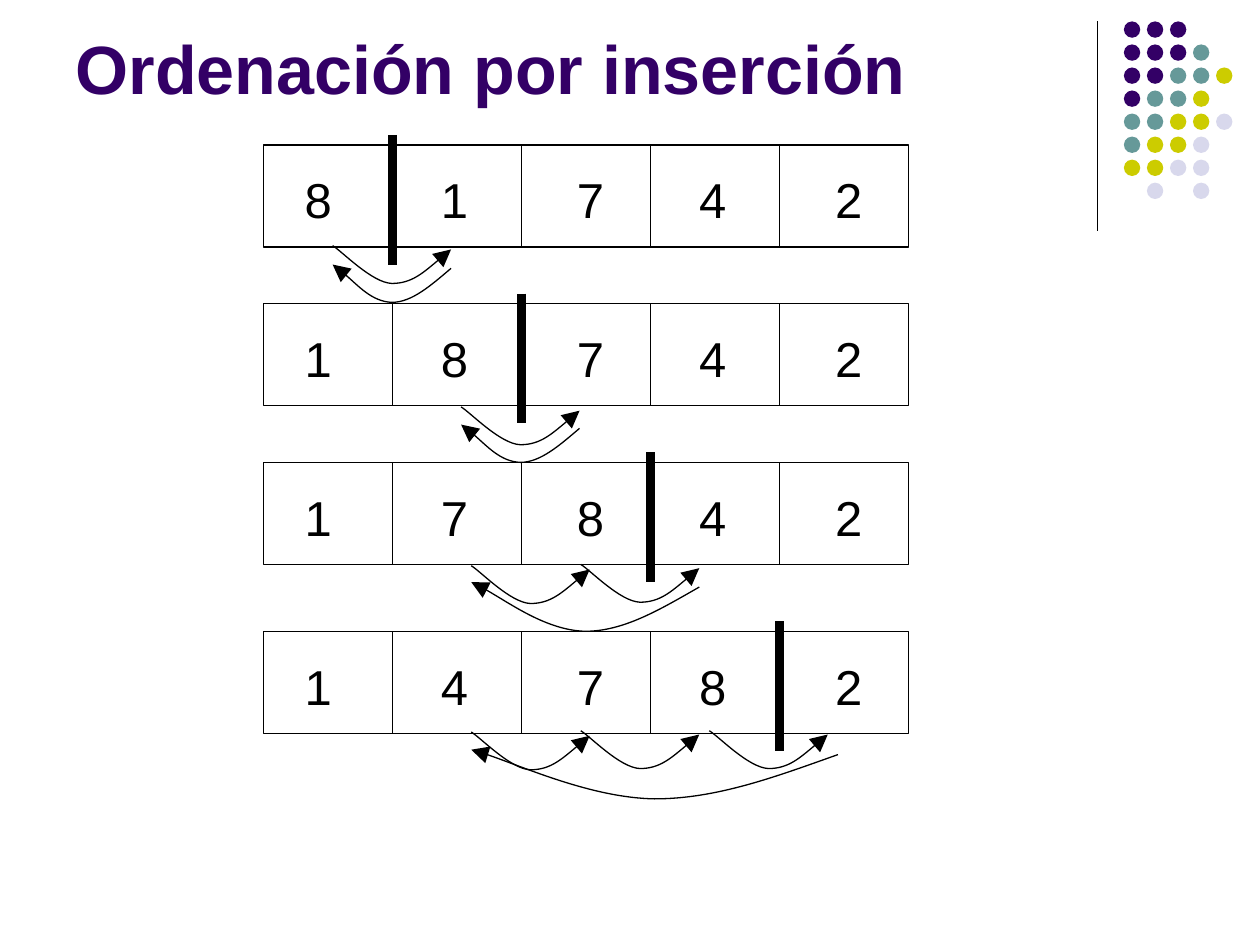
from dataclasses import dataclass

import lxml.etree
import pptx
import pptx.dml.color
import pptx.enum.shapes
import pptx.enum.text
import pptx.oxml.ns
import pptx.util

Inches = pptx.util.Inches
Pt = pptx.util.Pt
RGBColor = pptx.dml.color.RGBColor
qn = pptx.oxml.ns.qn
SHAPE = pptx.enum.shapes.MSO_SHAPE
STRAIGHT = pptx.enum.shapes.MSO_CONNECTOR.STRAIGHT

BLACK = RGBColor(0x00, 0x00, 0x00)
PURPLE = RGBColor(0x33, 0x00, 0x66)
TEAL = RGBColor(0x66, 0x99, 0x99)
LIME = RGBColor(0xCC, 0xCC, 0x00)
PALE = RGBColor(0xD8, 0xD8, 0xEC)

FONT = "Arial"
THIN = 0.75
THICK = 5
LEFT, WIDTH, HEIGHT, CELLS = 2.09, 5.12, 0.81, 5
STEP = WIDTH / CELLS
TABS = (1.08, 2.16, 3.13, 4.21)
BEND = ((1, 0.1), (0.83, 0.55), (0.67, 1), (0.5, 1), (0.33, 0.98), (0.08, 0.15), (0, 0))

DOTS = ("ppp", "pppt", "ppttl", "pttl", "ttllw", "tllw", "llww", ".w.w")
TINTS = {"p": PURPLE, "t": TEAL, "l": LIME, "w": PALE}


@dataclass
class Arc:
    left: float
    top: float
    width: float = 0.94
    height: float = 0.3
    end: str = "headEnd"


@dataclass
class Row:
    top: float
    items: str
    split: int
    arcs: tuple[Arc, ...]


ROWS = (
    Row(1.15, "81742", 1, (Arc(2.64, 1.95), Arc(2.64, 2.1, end="tailEnd"))),
    Row(2.41, "18742", 2, (Arc(3.66, 3.23), Arc(3.66, 3.37, end="tailEnd"))),
    Row(3.67, "17842", 3, (
        Arc(4.61, 4.48), Arc(3.74, 4.49), Arc(3.74, 4.62, 1.81, 0.39, "tailEnd"))),
    Row(5.01, "14782", 4, (
        Arc(4.61, 5.8), Arc(3.74, 5.81), Arc(5.63, 5.8),
        Arc(3.74, 5.95, 2.91, 0.39, "tailEnd"))),
)


def add_text(para, text: str, size: float, color: RGBColor, bold: bool = False) -> None:
    run = para.add_run()
    run.text = text
    run.font.name = FONT
    run.font.size = Pt(size)
    run.font.bold = bold
    run.font.color.rgb = color


def draw_line(shapes, x: float, top: float, base: float, weight: float) -> None:
    line = shapes.add_connector(STRAIGHT, Inches(x), Inches(top), Inches(x), Inches(base))
    line.line.color.rgb = BLACK
    line.line.width = Pt(weight)
    lxml.etree.SubElement(line._element.spPr, qn("a:effectLst"))


def set_edge(shape) -> None:
    shape.shadow.inherit = False
    shape.fill.background()
    shape.line.color.rgb = BLACK
    shape.line.width = Pt(THIN)


def draw_arc(shapes, arc: Arc) -> None:
    points = [(Inches(arc.left + x * arc.width), Inches(arc.top + y * arc.height))
              for x, y in BEND]
    pen = shapes.build_freeform(*points[0])
    pen.add_line_segments(points[1:], close=False)
    shape = pen.convert_to_shape()
    set_edge(shape)
    track = next(shape._element.iter(qn("a:path")))
    parts = track.findall(qn("a:lnTo"))
    for first in (0, 3):
        curve = lxml.etree.SubElement(track, qn("a:cubicBezTo"))
        for part in parts[first:first + 3]:
            curve.append(part[0])
            track.remove(part)
    edge = shape._element.spPr.find(qn("a:ln"))
    lxml.etree.SubElement(edge, qn("a:" + arc.end), type="triangle", w="lg", len="lg")


def draw_items(shapes, row: Row) -> None:
    box = shapes.add_textbox(Inches(2.32), Inches(row.top + 0.15), Inches(4.72), Inches(0.57))
    box.text_frame.word_wrap = True
    para = box.text_frame.paragraphs[0]
    stops = lxml.etree.SubElement(para._p.get_or_add_pPr(), qn("a:tabLst"))
    for tab in TABS:
        lxml.etree.SubElement(stops, qn("a:tab"), pos=str(Inches(tab)), algn="l")
    add_text(para, "\t".join(row.items), 28, BLACK)


def draw_row(slide, row: Row) -> None:
    shapes = slide.shapes.add_group_shape().shapes
    frame = shapes.add_shape(
        SHAPE.RECTANGLE, Inches(LEFT), Inches(row.top), Inches(WIDTH), Inches(HEIGHT))
    set_edge(frame)
    for cell in range(1, CELLS):
        draw_line(shapes, LEFT + cell * STEP, row.top, row.top + HEIGHT, THIN)
    draw_items(shapes, row)
    draw_line(shapes, LEFT + row.split * STEP, row.top - 0.08, row.top + 0.95, THICK)
    for arc in row.arcs:
        draw_arc(shapes, arc)


def draw_dots(slide) -> None:
    shapes = slide.shapes.add_group_shape().shapes
    pitch = 1.28 / 7
    for down, marks in enumerate(DOTS):
        for across, mark in enumerate(marks):
            if mark not in TINTS:
                continue
            dot = shapes.add_shape(
                SHAPE.OVAL, Inches(8.92 + across * pitch), Inches(0.17 + down * pitch),
                Inches(0.13), Inches(0.13))
            dot.shadow.inherit = False
            dot.fill.solid()
            dot.fill.fore_color.rgb = TINTS[mark]
            dot.line.fill.background()


def set_title(slide) -> None:
    title = slide.shapes.title
    title.left, title.top = Inches(0.5), Inches(0.13)
    title.width, title.height = Inches(8.25), Inches(0.78)
    frame = title.text_frame
    frame.auto_size = pptx.enum.text.MSO_AUTO_SIZE.NONE
    frame.vertical_anchor = pptx.enum.text.MSO_ANCHOR.BOTTOM
    para = frame.paragraphs[0]
    para.alignment = pptx.enum.text.PP_ALIGN.LEFT
    add_text(para, "Ordenación por inserción", 39, PURPLE, True)


def main() -> None:
    deck = pptx.Presentation()
    deck.slide_width, deck.slide_height = Inches(10), Inches(7.5)
    slide = deck.slides.add_slide(deck.slide_layouts[5])
    draw_line(slide.shapes, 8.71, 0.17, 1.83, THIN)
    draw_dots(slide)
    set_title(slide)
    for row in ROWS:
        draw_row(slide, row)
    deck.save("out.pptx")


if __name__ == "__main__":
    main()
